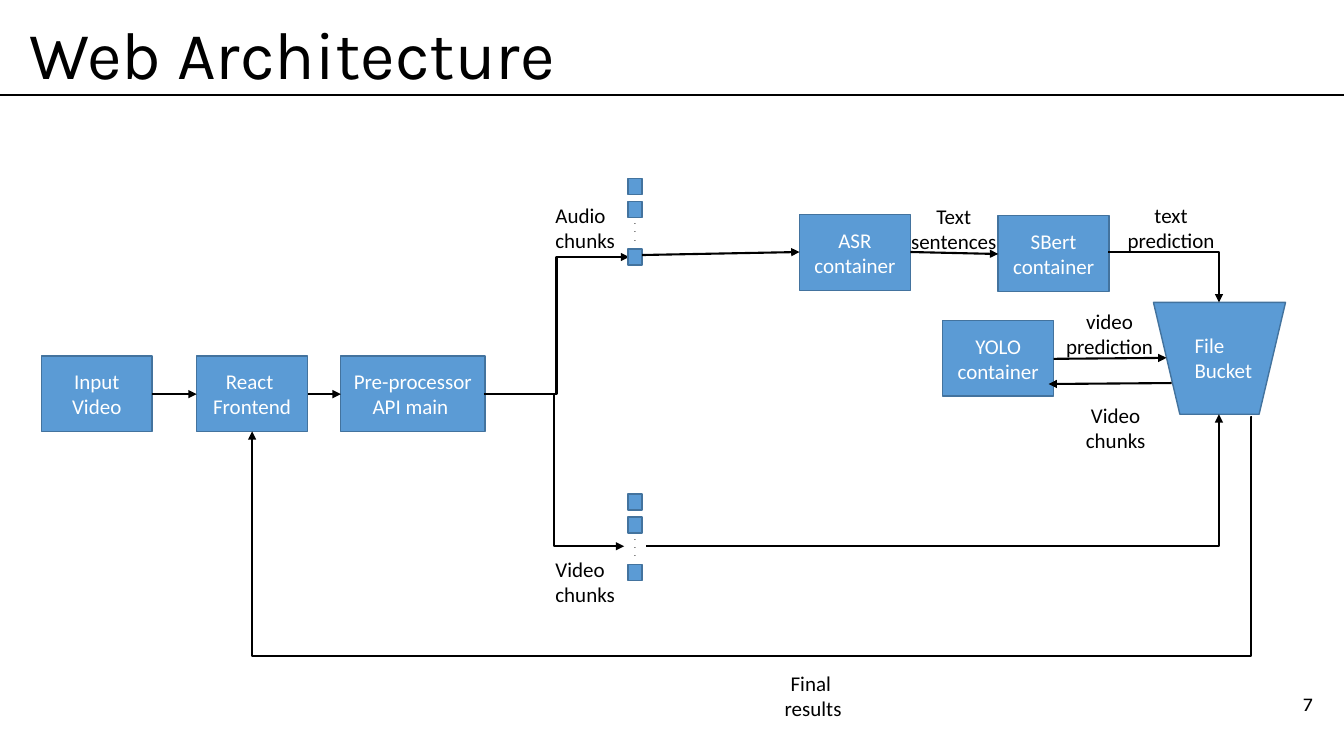
from lxml import etree
from pptx import Presentation
from pptx.dml.color import RGBColor
from pptx.enum.shapes import MSO_CONNECTOR, MSO_SHAPE
from pptx.enum.text import MSO_ANCHOR, MSO_AUTO_SIZE, PP_ALIGN
from pptx.oxml.ns import qn
from pptx.util import Pt

PX = 9144  # 100 px to the inch
BLUE = RGBColor(0x5B, 0x9B, 0xD5)
EDGE = RGBColor(0x43, 0x73, 0x9E)
WHITE = RGBColor(0xFF, 0xFF, 0xFF)
BLACK = RGBColor(0x00, 0x00, 0x00)
BODY_FONT, HEADING_FONT = "Calibri", "Karla"
RECTANGLE, FUNNEL = MSO_SHAPE.RECTANGLE, MSO_SHAPE.FLOWCHART_MANUAL_OPERATION
STRAIGHT, ELBOW = MSO_CONNECTOR.STRAIGHT, MSO_CONNECTOR.ELBOW
LEFT, CENTER = PP_ALIGN.LEFT, PP_ALIGN.CENTER
TOP, MIDDLE = MSO_ANCHOR.TOP, MSO_ANCHOR.MIDDLE
NODE_WIDTH, NODE_HEIGHT = 110, 75


def px(*lengths):
    return [round(length * PX) for length in lengths]


def write(shape, text, size=15, color=BLACK, font=BODY_FONT, align=LEFT,
          anchor=TOP, bold=False, wrap=True):
    frame = shape.text_frame
    frame.text = text
    frame.word_wrap = wrap
    frame.auto_size = MSO_AUTO_SIZE.NONE
    frame.vertical_anchor = anchor
    for para in frame.paragraphs:
        para.alignment = align
        for span in para.runs:
            span.font.size, span.font.name, span.font.bold = Pt(size), font, bold
            span.font.color.rgb = color


def add_label(page, text, left, top, width, height=61, **style):
    box = page.shapes.add_textbox(*px(left, top, width, height))
    write(box, text, **style)


def add_block(page, left, top, width, height, kind=RECTANGLE):
    block = page.shapes.add_shape(kind, *px(left, top, width, height))
    block.shadow.inherit = False
    block.fill.solid()
    block.fill.fore_color.rgb = BLUE
    block.line.color.rgb = EDGE
    block.line.width = Pt(1)
    return block


def add_node(page, text, left, top, width=NODE_WIDTH):
    node = add_block(page, left, top, width, NODE_HEIGHT)
    write(node, text, color=WHITE, align=CENTER, anchor=MIDDLE)


def add_line(page, start, end, kind=STRAIGHT, arrow=True):
    line = page.shapes.add_connector(kind, *px(*start, *end))
    line.line.color.rgb = BLACK
    line.line.width = Pt(1.5)
    if arrow:
        etree.SubElement(line.line._get_or_add_ln(), qn("a:tailEnd"), type="triangle")
    etree.SubElement(line.element.spPr, qn("a:effectLst"))
    return line


def add_corner(page, start, end):
    """Draw an arrow that runs sideways, then turns once."""
    line = add_line(page, start, end, ELBOW)
    line.element.spPr.prstGeom.set("prst", "bentConnector2")


def add_return_loop(page, start, end, floor):
    """Draw an arrow from right to left that dips to the floor on its way."""
    line = add_line(page, start, end, ELBOW)
    frame = line.element.spPr.xfrm
    frame.flipH, frame.flipV, frame.rot = False, True, 180
    geometry = line.element.spPr.prstGeom
    geometry.set("prst", "bentConnector4")
    dip = round((floor - start[1]) / (end[1] - start[1]) * 100000)
    guides = geometry.find(qn("a:avLst"))
    for name, value in (("adj1", 100), ("adj2", dip)):
        etree.SubElement(guides, qn("a:gd"), name=name, fmla=f"val {value}")


def draw_heading(page, left, top, width, height):
    title = page.shapes.title
    title.left, title.top, title.width, title.height = px(left + 19, top + 7, 567, 91)
    write(title, "Web Architecture", size=48, font=HEADING_FONT, wrap=False)
    add_line(page, (left, top + height), (left + width, top + height), arrow=False)


def draw_chunk_stack(page, left, top):
    for offset in (0, 23, 70):
        add_block(page, left, top + offset, 14, 16)
    add_label(page, ".\n.\n.", left - 4, top + 34, 22, 35, size=5, bold=True, wrap=False)


def draw_ingest(page, left, top):
    """Draw the input row and its split into audio and video chunks."""
    nodes = (("Input Video", 0, NODE_WIDTH), ("React \nFrontend", 154, NODE_WIDTH),
             ("Pre-processor\nAPI main ", 297, 143))
    for text, x, width in nodes:
        add_node(page, text, left + x, top, width)
    middle = top + 38
    for (_, x, width), (_, following, _) in zip(nodes, nodes[1:]):
        add_line(page, (left + x + width, middle), (left + following, middle))
    for text, label_y, end_x, end_y in (("Audio chunks", -157, 583, -98),
                                        ("Video\nchunks", 194, 578, 189)):
        add_line(page, (left + 439, middle), (left + end_x, top + end_y), ELBOW)
        add_label(page, text, left + 500, top + label_y, 88)


def draw_models(page, left, top):
    """Draw the model containers and the bucket that collects their output."""
    for text, x, y in (("ASR container", 0, 17), ("YOLO container", 142, 122),
                       ("SBert\ncontainer", 197, 18)):
        add_node(page, text, left + x, top + y)
    add_block(page, left + 351, top + 104, 131, 111, FUNNEL)
    add_label(page, "File\nBucket", left + 382, top + 129, 94, color=WHITE)
    for x1, y1, x2, y2 in ((110, 54, 197, 56), (252, 160, 364, 159), (369, 184, 247, 185)):
        add_line(page, (left + x1, top + y1), (left + x2, top + y2))
    add_corner(page, (left + 306, top + 54), (left + 416, top + 104))
    for text, x, y, width in (("Text\nsentences", 100, 1, 106),
                              ("text\nprediction", 303, 0, 131),
                              ("video\nprediction", 242, 105, 131),
                              ("Video chunks", 248, 198, 131)):
        # The narrow box breaks two-word labels across two lines.
        add_label(page, text.replace(" ", "\n"), left + x, top + y, width, align=CENTER)


def draw_links(page):
    """Join the regions and return the results to the frontend."""
    add_line(page, (637, 253), (793, 250))
    add_corner(page, (641, 542), (1209, 411))
    add_return_loop(page, (1242, 414), (250, 428), floor=651)
    add_label(page, "Final \nresults", 741, 660, 131, align=CENTER)


def main():
    deck = Presentation()
    deck.slide_width, deck.slide_height = px(1333, 750)
    page = deck.slides.add_slide(deck.slide_layouts.get_by_name("Title Only"))
    draw_heading(page, 0, 0, 1333, 94)
    draw_ingest(page, 41, 353)
    for top in (177, 490):
        draw_chunk_stack(page, 623, top)
    draw_models(page, 793, 196)
    draw_links(page)
    add_label(page, "7", 1283, 682, 40, 36, size=14, font=HEADING_FONT)
    deck.save("out.pptx")


if __name__ == "__main__":
    main()
